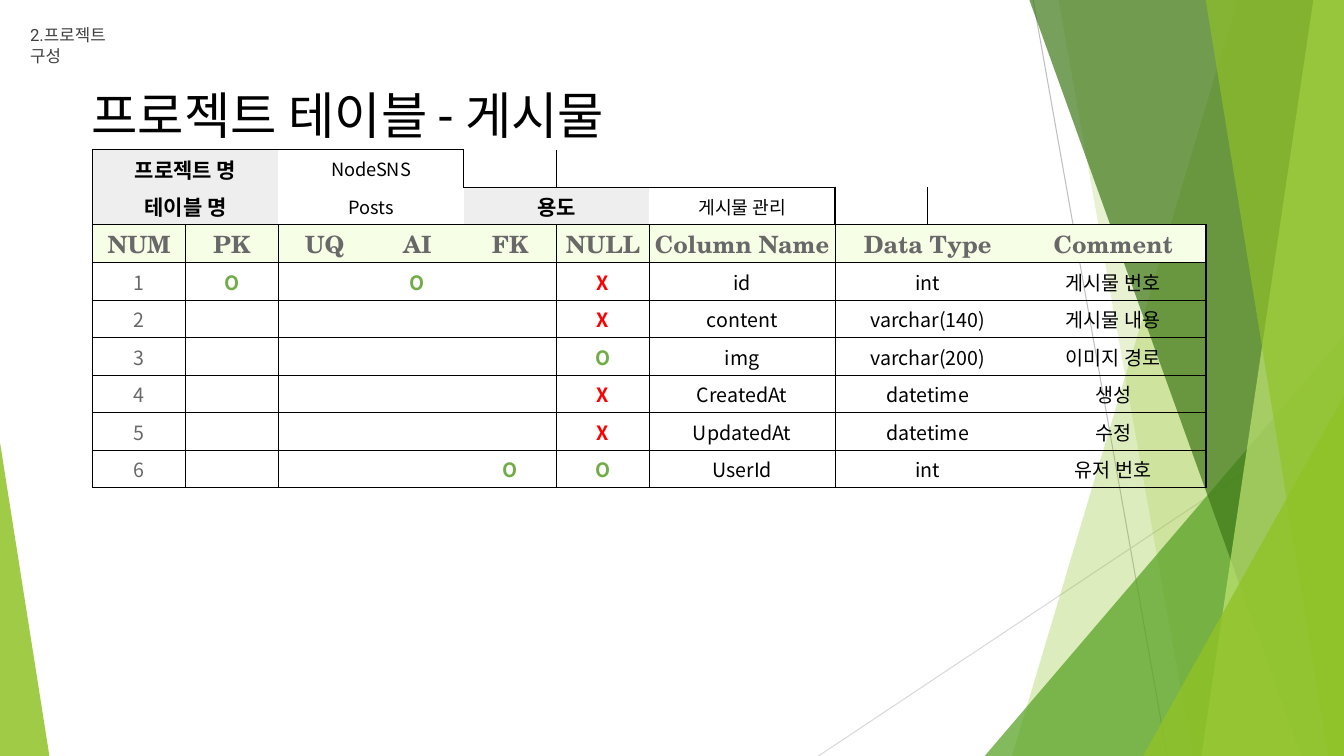
"""Builds the slide that lists the columns of the post table."""
from lxml import etree
from pptx import Presentation
from pptx.dml.color import RGBColor
from pptx.enum.shapes import MSO_CONNECTOR, MSO_SHAPE
from pptx.enum.text import MSO_ANCHOR, PP_ALIGN
from pptx.oxml.ns import qn
from pptx.util import Pt

STRAIGHT = MSO_CONNECTOR.STRAIGHT
TRIANGLE = MSO_SHAPE.ISOSCELES_TRIANGLE
MIDDLE = MSO_ANCHOR.MIDDLE
CENTER, LEFT = PP_ALIGN.CENTER, PP_ALIGN.LEFT

KOREAN = "Noto Sans CJK KR"
THEME = {
    "fill": {"label": "EEEEEE", "header": "F7FEE6"},
    "border": "000000",
    "color": {
        "title": "000000", "section": "404040", "label": "000000",
        "name": "000000", "header": "686868", "number": "686868",
        "yes": "70AD47", "no": "FF0000", "value": "000000",
    },
    "font": {
        "title": {"name": "Roboto", "size": Pt(36), "bold": False},
        "section": {"name": "Roboto", "size": Pt(12), "bold": False},
        "label": {"name": KOREAN, "size": Pt(15), "bold": True},
        "name": {"name": KOREAN, "size": Pt(13), "bold": False},
        "header": {"name": "TeX Gyre Schola", "size": Pt(17), "bold": True},
        "number": {"name": KOREAN, "size": Pt(14), "bold": False},
        "yes": {"name": KOREAN, "size": Pt(14), "bold": True},
        "no": {"name": KOREAN, "size": Pt(14), "bold": True},
        "value": {"name": KOREAN, "size": Pt(14), "bold": False},
    },
}


def write(tf, text, style, align):
    p = tf.paragraphs[0]
    p.alignment = align
    r = p.add_run()
    r.text = text
    for name, value in THEME["font"][style].items():
        setattr(r.font, name, value)
    r.font.color.rgb = RGBColor.from_string(THEME["color"][style])
    latin = r.font._element.find(qn("a:latin"))
    latin.addnext(latin.makeelement(qn("a:ea"), {"typeface": KOREAN}))


def tint(sp, color, alpha):
    sp.shadow.inherit = False
    sp.line.fill.background()
    sp.fill.solid()
    sp.fill.fore_color.rgb = RGBColor.from_string(color)
    rgb = sp._element.spPr.find(qn("a:solidFill"))[0]
    etree.SubElement(rgb, qn("a:alpha"), val=str(alpha * 1000))


WIDTH, HEIGHT = 960, 540
prs = Presentation()
prs.slide_width, prs.slide_height = Pt(WIDTH), Pt(HEIGHT)
s = prs.slides.add_slide(prs.slide_layouts[6])

backdrop = s.shapes.add_group_shape().shapes
for x1, y1, x2, y2, color in [
    (738, 0, 833.8, HEIGHT, "BFBFBF"),
    (WIDTH, 290.2, 584.6, HEIGHT, "D9D9D9"),
]:
    line = backdrop.add_connector(STRAIGHT, Pt(x1), Pt(y1), Pt(x2), Pt(y2))
    line.line.width = Pt(0.75)
    line.line.color.rgb = RGBColor.from_string(color)
    etree.SubElement(line._element.spPr, qn("a:effectLst"))

SLAB, PEAK = "slab", "peak"
facets = [
    (SLAB, (884.2, 722.9), "90C226", 30),
    (SLAB, (756, 851.8), "90C226", 20),
    (PEAK, (703.4, 239.8, 256.6, 1), "54A021", 72),
    (SLAB, (735.1, 929.5), "3F7819", 70),
    (SLAB, (938.2, 858.2), "C0E474", 70),
    (SLAB, (861.1, 949), "90C226", 65),
    (PEAK, (816.5, 283, 143.5, 1), "90C226", 80),
    (PEAK, (0, 316.1, 35.3, 0), "90C226", 85),
]
for kind, place, color, alpha in facets:
    if kind == SLAB:
        top_x, bottom_x = place
        outline = backdrop.build_freeform(Pt(top_x), Pt(-0.6))
        corners = [(WIDTH, -0.6), (WIDTH, HEIGHT), (bottom_x, HEIGHT)]
        outline.add_line_segments([(Pt(x), Pt(y)) for x, y in corners])
        sp = outline.convert_to_shape()
    else:
        left, top, width, apex = place
        sp = backdrop.add_shape(TRIANGLE, Pt(left), Pt(top), Pt(width), Pt(HEIGHT - top))
        sp.adjustments[0] = apex
    tint(sp, color, alpha)

for text, style, left, top, width, height in [
    ("프로젝트 테이블 - 게시물", "title", 58.3, 56.2, 699.1, 51.1),
    ("2.프로젝트 구성", "section", 14.4, 14.4, 90, 21.6),
]:
    tf = s.shapes.add_textbox(Pt(left), Pt(top), Pt(width), Pt(height)).text_frame
    tf.word_wrap = True
    write(tf, text, style, LEFT)

ROWS, COLS, COL_WIDTH, ROW_HEIGHT = 9, 12, 66.3, 26.8
table = s.shapes.add_table(
    ROWS, COLS, Pt(66.2), Pt(107), Pt(COLS * COL_WIDTH), Pt(ROWS * ROW_HEIGHT)
).table
table.first_row = table.horz_banding = False
table._tbl.tblPr.find(qn("a:tableStyleId")).text = "{2D5ABB26-0587-4C30-8999-92F81FD0307C}"
for col in table.columns:
    col.width = Pt(COL_WIDTH)
for row in table.rows:
    row.height = Pt(ROW_HEIGHT)

entries = [
    (0, 0, "프로젝트 명", "label"), (0, 2, "NodeSNS", "name"),
    (1, 0, "테이블 명", "label"), (1, 2, "Posts", "name"),
    (1, 4, "용도", "label"), (1, 6, "게시물 관리", "name"),
]
headers = ["NUM", "PK", "UQ", "AI", "FK", "NULL"]
entries += [(2, c, text, "header") for c, text in enumerate(headers)]
for i, text in enumerate(["Column Name", "Data Type", "Comment"]):
    entries.append((2, 6 + 2 * i, text, "header"))

fields = [
    ({"PK": "O", "AI": "O", "NULL": "X"}, "id", "int", "게시물 번호"),
    ({"NULL": "X"}, "content", "varchar(140)", "게시물 내용"),
    ({"NULL": "O"}, "img", "varchar(200)", "이미지 경로"),
    ({"NULL": "X"}, "CreatedAt", "datetime", "생성"),
    ({"NULL": "X"}, "UpdatedAt", "datetime", "수정"),
    ({"FK": "O", "NULL": "O"}, "UserId", "int", "유저 번호"),
]
for number, (marks, *values) in enumerate(fields, 1):
    r = number + 2
    entries.append((r, 0, str(number), "number"))
    for header, mark in marks.items():
        entries.append((r, headers.index(header), mark, "yes" if mark == "O" else "no"))
    entries += [(r, 6 + 2 * i, text, "value") for i, text in enumerate(values)]

pairs = [(r, c) for r in range(2, ROWS) for c in (6, 8, 10)]
pairs += [(0, 0), (0, 2), (1, 0), (1, 2), (1, 4), (1, 6)]
for r, c in pairs:
    table.cell(r, c).merge(table.cell(r, c + 1))

borders = {}
verticals = [(0, 0, ROWS, 1), (4, 0, 1, 1), (8, 1, 2, 1), (COLS, 2, ROWS, 1)]
verticals += [(x, 2, ROWS, 0.5) for x in (1, 5, 6)]
for x, start, end, weight in verticals:
    for r in range(start, end):
        borders[r, x, "L"] = borders[r, x - 1, "R"] = weight
        borders[r, x - 2, "R"] = weight if (r, x - 2) in pairs else 0
horizontals = [(0, 0, 4, 1), (1, 4, 8, 1), (2, 0, COLS, 1), (ROWS, 0, COLS, 1)]
horizontals += [(y, 0, COLS, 0.5) for y in range(3, ROWS)]
for y, start, end, weight in horizontals:
    for c in range(start, end):
        borders[y, c, "T"] = borders[y - 1, c, "B"] = weight

styles = {(r, c): style for r, c, text, style in entries}
for r in range(ROWS):
    for c in range(COLS):
        cell = table.cell(r, c)
        cell.vertical_anchor = MIDDLE
        for side, inset in {"left": 0.7, "right": 0.7, "top": 0.7, "bottom": 0}.items():
            setattr(cell, f"margin_{side}", Pt(inset))
        for side in "LRTB":
            weight = borders.get((r, c, side))
            if weight:
                ln = etree.SubElement(cell._tc.tcPr, qn(f"a:ln{side}"), w=str(Pt(weight)))
                solid = etree.SubElement(ln, qn("a:solidFill"))
                etree.SubElement(solid, qn("a:srgbClr"), val=THEME["border"])
        fill = THEME["fill"].get(styles.get((r, c)))
        if fill:
            cell.fill.solid()
            cell.fill.fore_color.rgb = RGBColor.from_string(fill)
        else:
            cell.fill.background()
for r, c, text, style in entries:
    write(table.cell(r, c).text_frame, text, style, CENTER)

prs.save("out.pptx")
